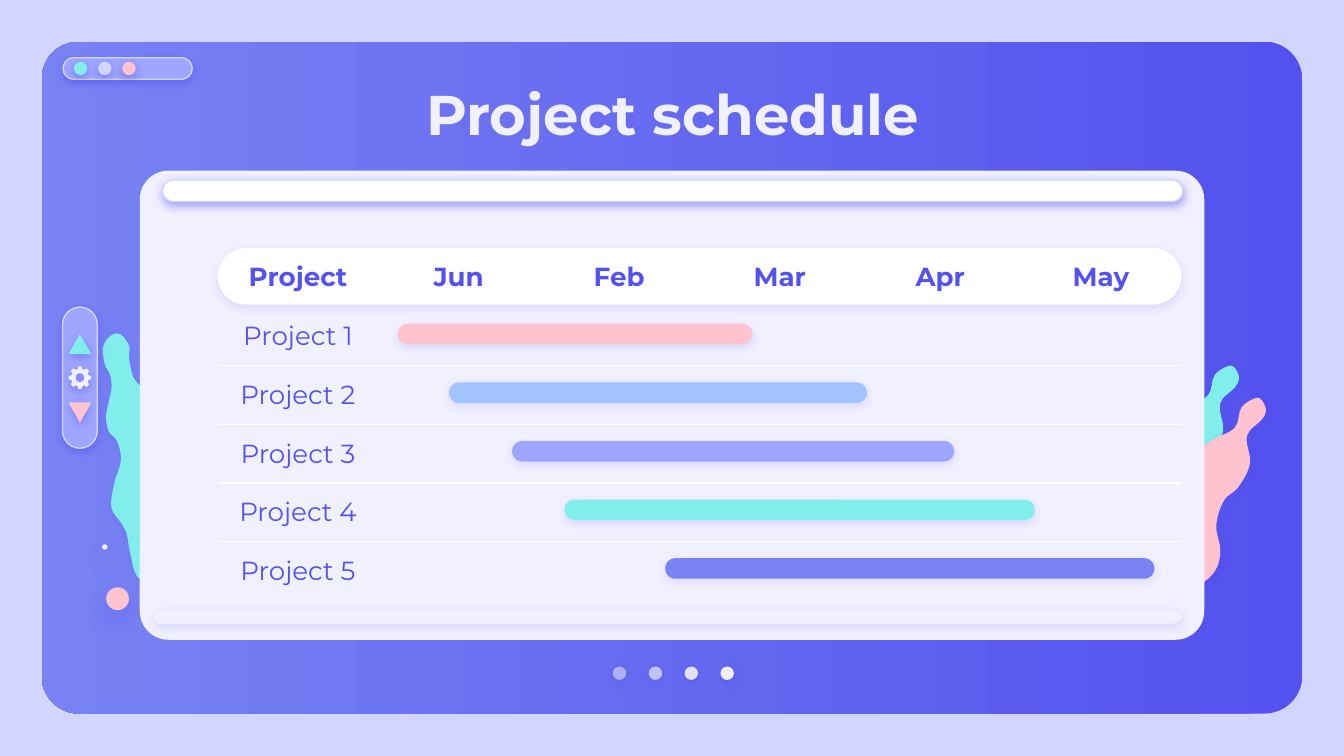
from collections import namedtuple
from dataclasses import dataclass
import math

from lxml import etree
from pptx import Presentation, util as u
from pptx.dml import color as c
from pptx.enum import shapes, text
from pptx.oxml import ns

Box = namedtuple("Box", "x y w h")
Kind = shapes.MSO_SHAPE
CELL = u.Inches(0.1)


@dataclass(frozen=True)
class Theme:
    """Colours, type sizes and shadow styles (alpha, blur, drop)."""
    font: str = "Montserrat"
    head: int = 30
    body: int = 14
    rule: float = 0.75
    back: str = "D2D6FF"
    deep: str = "5352EE"
    mid: str = "7882F3"
    lilac: str = "9EA6FF"
    mint: str = "81EEEB"
    pink: str = "FFC3D0"
    sky: str = "A1C3FF"
    pale: str = "F1F0FF"
    white: str = "FFFFFF"
    firm: tuple = (50, 4.5, 1.5)
    soft: tuple = (15, 4.5, 1.5)
    faint: tuple = (20, 4.5, 1.5)
    wide: tuple = (38, 12.4, 6.8)


T = Theme()
BARS = [(13.4, 26.4, T.pink), (17.2, 31.1, T.sky), (21.9, 32.9, T.lilac),
        (25.8, 35, T.mint), (33.3, 36.4, T.mid)]
MONTHS = ["Jun", "Feb", "Mar", "Apr", "May"]
WAVE = [(1.1, 0), (2, 0.9), (2, 1.7), (2.3, 3.2), (2.9, 4), (3.4, 4.6), (3.9, 7.2),
        (4.7, 9.6), (5.7, 12.1), (5.3, 13.3), (4.9, 15.2), (5.2, 15.9), (5.5, 17.6),
        (5, 18.5), (4.2, 18.8), (2.7, 18.2), (2.1, 16.4), (1.8, 14.8), (1.4, 14.1),
        (0.7, 13), (0.9, 11.2), (1.4, 9.4), (1.1, 8), (0.5, 7.3), (0.3, 6.2),
        (0.5, 5.1), (0.7, 4.1), (0.6, 3.1), (0.2, 2.3), (0.1, 0.9)]
SPLASH = [(9, 0), (9.4, 0.2), (9.7, 1), (9.4, 1.6), (8.3, 2.8), (8.5, 4.9), (7.6, 6.7),
          (6.6, 7.6), (6, 9.5), (6.3, 11.4), (5.9, 12.9), (4.5, 14), (3, 13.9),
          (0.7, 12), (1.9, 7.6), (3, 6.8), (4, 4.5), (5.8, 3.1), (7.4, 2.2),
          (7.9, 0.7)]


def sub(box, x, y, w, h):
    """Return a box placed in grid cells from the corner of another."""
    return Box(box.x + x, box.y + y, w, h)


def emu(*cells):
    """Turn grid cells into whole EMU lengths."""
    return [round(n * CELL) for n in cells]


def rgb(code):
    """Return a colour object."""
    return c.RGBColor.from_string(code)


def node(up, tag, **keys):
    """Append an XML child and return it."""
    return etree.SubElement(up, ns.qn("a:" + tag), **{k: str(v) for k, v in keys.items()})


def style(shape, fill, line=None, shade=None, alpha=100):
    """Set the fill, outline and shadow of a shape."""
    shape.shadow.inherit = False
    shape.fill.solid()
    shape.fill.fore_color.rgb = rgb(fill)
    if alpha < 100:
        tint = shape.fill._xPr.find(".//" + ns.qn("a:srgbClr"))
        node(tint, "alpha", val=alpha * 1000)
    if line:
        shape.line.color.rgb = rgb(line)
        shape.line.width = u.Pt(T.rule)
    else:
        shape.line.fill.background()
    if shade:
        power, blur, drop = shade
        group = shape._element.spPr.find(ns.qn("a:effectLst"))
        cast = node(group, "outerShdw", blurRad=u.Pt(blur), dist=u.Pt(drop),
                    dir=5400000, algn="bl", rotWithShape=0)
        node(node(cast, "srgbClr", val=T.deep), "alpha", val=power * 1000)
    return shape


def draw(slide, kind, box, fill, bend=None, **look):
    """Add a styled preset shape."""
    shape = slide.shapes.add_shape(kind, *emu(*box))
    if bend is not None:
        shape.adjustments[0] = bend
    return style(shape, fill, **look)


def pill(slide, box, fill, **look):
    """Add a bar with fully rounded ends."""
    return draw(slide, Kind.ROUNDED_RECTANGLE, box, fill, 0.5, **look)


def trace(slide, box, rings, fill, shade):
    """Add a closed outline, made of one or more rings of points."""
    rings = [[emu(box.x + x, box.y + y) for x, y in ring] for ring in rings]
    pen = slide.shapes.build_freeform(*rings[0][0])
    for num, ring in enumerate(rings):
        if num:
            pen.move_to(*ring[0])
        pen.add_line_segments(ring[1:], close=True)
    return style(pen.convert_to_shape(), fill, shade=shade)


def smooth(shape):
    """Turn the straight sides of a one-ring outline into curves."""
    track = shape._element.spPr.find(".//" + ns.qn("a:path"))
    knots = [complex(int(p.get("x")), int(p.get("y"))) for p in track.iter(ns.qn("a:pt"))]
    size = len(knots)
    for part in list(track)[1:]:
        track.remove(part)
    slopes = [knots[(i + 1) % size] - knots[i - 1] for i in range(size)]
    for i, start in enumerate(knots):
        j = (i + 1) % size
        end = knots[j]
        reach = abs(end - start) / 3
        arc = node(track, "cubicBezTo")
        for spot in (start + slopes[i] / abs(slopes[i]) * reach,
                     end - slopes[j] / abs(slopes[j]) * reach, end):
            node(arc, "pt", x=round(spot.real), y=round(spot.imag))
    node(track, "close")


def polar(mid, arms):
    """Return points around a middle from pairs of angle and radius."""
    return [(mid + r * math.cos(math.radians(a)), mid + r * math.sin(math.radians(a)))
            for a, r in arms]


def write(frame, words, size=T.body, color=T.deep, bold=False):
    """Write centred, top-anchored text with its format."""
    frame.word_wrap = True
    frame.vertical_anchor = text.MSO_ANCHOR.TOP
    frame.margin_left = frame.margin_right = frame.margin_top = frame.margin_bottom = CELL
    para = frame.paragraphs[0]
    para.alignment = text.PP_ALIGN.CENTER
    if not words:
        node(para._p, "endParaRPr", sz=size * 100)
        return
    run = para.add_run()
    run.text = words
    run.font.name, run.font.size, run.font.bold = T.font, u.Pt(size), bold
    run.font.color.rgb = rgb(color)


def window(slide, box):
    """Draw the gradient window with its buttons and page dots."""
    pane = draw(slide, Kind.ROUNDED_RECTANGLE, box, T.deep, 0.056)
    pane.fill.gradient()
    pane.fill.gradient_angle = 180
    for stop, tone in zip(pane.fill.gradient_stops, (T.deep, T.mid)):
        stop.color.rgb = rgb(tone)
    pill(slide, sub(box, 1.6, 1.2, 9.6, 1.6), T.lilac, line=T.back, shade=T.firm)
    for i, tone in enumerate((T.mint, T.back, T.pink)):
        draw(slide, Kind.OVAL, sub(box, 2.4 + 1.8 * i, 1.5, 1, 1), tone, shade=T.firm)
    for i, alpha in enumerate((54, 67, 90, 100)):
        draw(slide, Kind.OVAL, sub(box, 42.5 + 2.67 * i, 46.5, 1, 1), T.pale,
             shade=T.firm, alpha=alpha)


def decor(slide, box):
    """Draw the blobs and bubbles at both sides."""
    smooth(trace(slide, sub(box, 7.6, 24.8, 6, 19), [WAVE], T.mint, T.faint))
    for i, tone in enumerate((T.mint, T.pink)):
        spot = sub(box, 82.5 + 2 * i, 27.2 + 2.4 * i, 10, 14)
        smooth(trace(slide, spot, [SPLASH], tone, T.faint))
    draw(slide, Kind.OVAL, sub(box, 7.9, 43.7, 1.7, 1.7), T.pink, shade=T.wide)
    draw(slide, Kind.OVAL, sub(box, 7.6, 40.5, 0.4, 0.4), T.pale, shade=T.wide)


def heading(slide, box):
    """Fill the title placeholder and bring it above the window."""
    title = slide.shapes.title
    title.left, title.top, title.width, title.height = emu(*box)
    title.text_frame.auto_size = text.MSO_AUTO_SIZE.NONE
    write(title.text_frame, "Project schedule", size=T.head, color=T.pale, bold=True)
    slide.shapes._spTree.append(title._element)


def panel(slide, box):
    """Draw the pale card with its top and bottom strips."""
    draw(slide, Kind.ROUNDED_RECTANGLE, box, T.pale, 0.061)
    pill(slide, sub(box, 1.1, 32.7, 76.4, 1), T.pale, shade=T.soft)
    pill(slide, sub(box, 1.7, 0.7, 75.9, 1.6), T.white, line=T.back, shade=T.firm)


def chart(slide, box):
    """Draw the schedule table and its bars."""
    pill(slide, sub(box, 0, 0, box.w, 4.2), T.white, shade=T.soft)
    rows = [["Project"] + MONTHS]
    rows += [[f"Project {i + 1}"] + [""] * len(MONTHS) for i in range(len(BARS))]
    grid = slide.shapes.add_table(len(rows), len(rows[0]), *emu(*box)).table
    grid.first_row = grid.horz_banding = False
    grid._tbl.tblPr.find(ns.qn("a:tableStyleId")).text = "{2D5ABB26-0587-4C30-8999-92F81FD0307C}"
    for r, row in enumerate(rows):
        grid.rows[r].height = emu(4.3 if r else 4.2)[0]
        for k, words in enumerate(row):
            cell = grid.cell(r, k)
            write(cell.text_frame, words, bold=r == 0)
            cell.margin_left = cell.margin_right = cell.margin_top = cell.margin_bottom = CELL
            cell.fill.background()
            if 0 < r < len(BARS):
                edge = node(cell._tc.tcPr, "lnB", w=u.Pt(T.rule))
                node(node(edge, "solidFill"), "srgbClr", val=T.white)
                cell._tc.tcPr.insert(0, edge)
    for i, (start, span, tone) in enumerate(BARS):
        pill(slide, sub(box, start, 5.63 + 4.36 * i, span, 1.53), tone, shade=T.soft)


def tools(slide, box):
    """Draw the side bar with its arrows and gear."""
    pill(slide, box, T.lilac, line=T.back, shade=T.firm)
    for y, tone, turn in ((2, T.mint, 0), (7.1, T.pink, 180)):
        arrow = draw(slide, Kind.ISOSCELES_TRIANGLE, sub(box, 0.45, y, 1.7, 1.5),
                     tone, 0.5, shade=T.firm)
        arrow.rotation = turn
    teeth = [(45 * i + a, r) for i in range(8)
             for a, r in ((-14, 0.67), (-10, 0.85), (10, 0.85), (14, 0.67))]
    hole = [(30 * i, 0.33) for i in range(12)]
    trace(slide, sub(box, 0.45, 4.4, 1.7, 1.7), [polar(0.85, teeth), polar(0.85, hole)],
          T.pale, T.firm)


def main():
    """Build and save the slide."""
    deck = Presentation()
    deck.slide_width, deck.slide_height = 100 * CELL, 100 * CELL * 9 // 16
    slide = deck.slides.add_slide(deck.slide_layouts[5])
    slide.background.fill.solid()
    slide.background.fill.fore_color.rgb = rgb(T.back)
    window(slide, Box(3.1, 3.1, 93.8, 50))
    decor(slide, Box(0, 0, 100, 56.25))
    heading(slide, Box(7.9, 4.9, 84.3, 6.3))
    panel(slide, Box(10.4, 12.7, 79.2, 34.9))
    chart(slide, Box(16.2, 18.46, 71.7, 25.7))
    tools(slide, Box(4.65, 22.85, 2.6, 10.5))
    deck.save("out.pptx")


if __name__ == "__main__":
    main()
